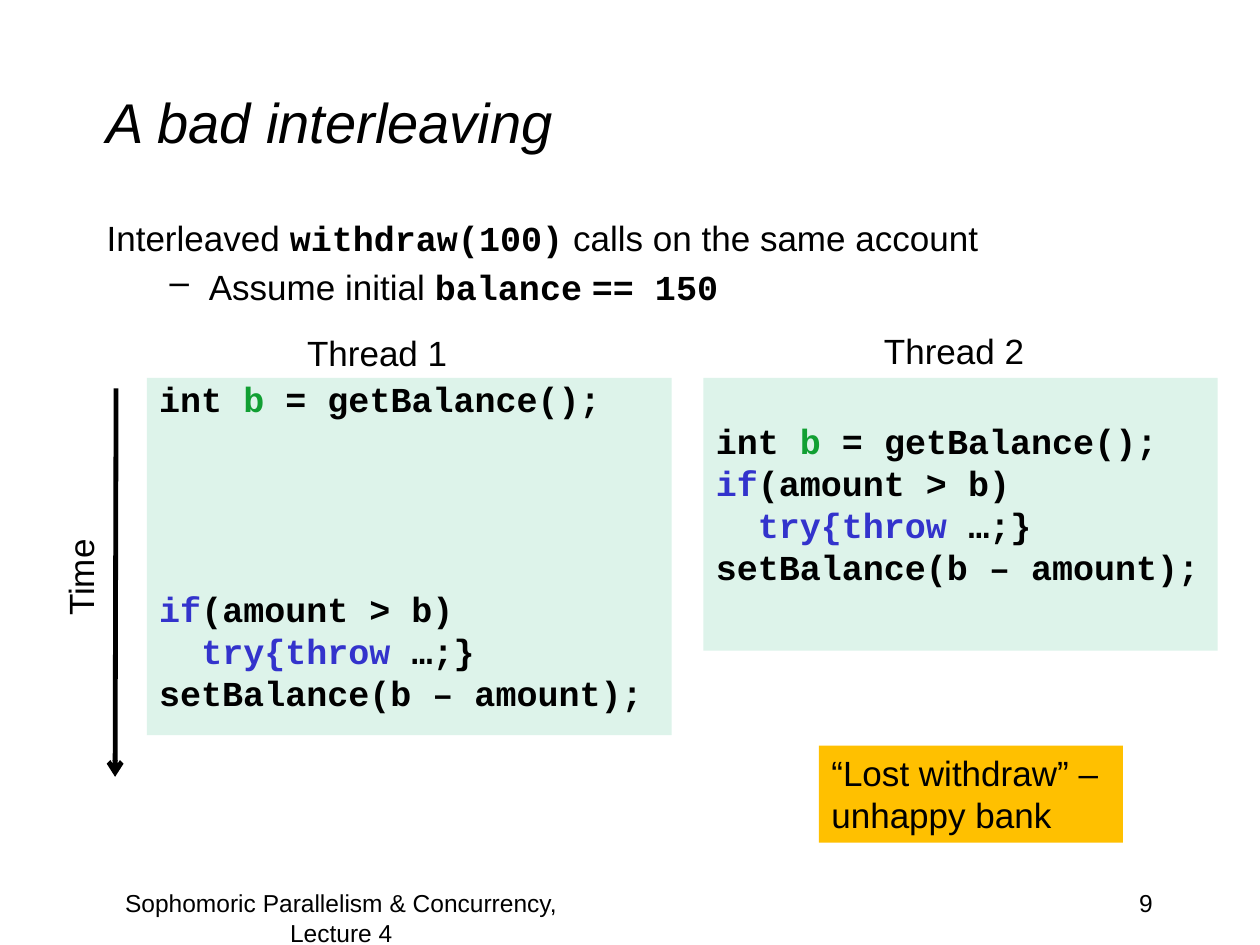
from lxml import etree
from pptx import Presentation
from pptx import util as u
from pptx.dml.color import RGBColor
from pptx.enum import shapes, text
from pptx.oxml.ns import qn

BLACK, GREEN, BLUE = "000000", "119F33", "3333CC"
MINT, AMBER = "DDF3EA", "FFC000"
SANS, MONO = "Arial", "Courier New"
LINE_PITCH = 24  # points: 20 for the line and 4 before it

CODE = {"name": MONO, "bold": True}
READ = [("int ", CODE), ("b", {**CODE, "color": GREEN}), (" = getBalance();", CODE)]
CHECK = [("if", {**CODE, "color": BLUE}), ("(amount > b)", CODE)]
THROW = [("  ", CODE), ("try{throw ", {**CODE, "color": BLUE}), ("…;}", CODE)]
WRITE = [("setBalance(b – amount);", CODE)]


def rgb(value):
    """Turn a hex string into a colour."""
    return RGBColor.from_string(value)


def set_all(target, values):
    """Set every attribute named in a dict of format values."""
    for name, value in values.items():
        setattr(target, name, value)


def add_spans(para, spans, size=20):
    """Fill a paragraph with (text, format) spans."""
    for words, look in spans:
        span = para.add_run()
        span.text = words
        values = {"name": SANS, "size": u.Pt(size), **look}
        span.font.color.rgb = rgb(values.pop("color", BLACK))
        set_all(span.font, values)


def add_text(page, place, paras, size=20, fill=None, frame=None, layout=None):
    """Add a text box, or a filled rectangle, with one span list per paragraph."""
    area = [u.Cm(length) for length in place]
    if fill:
        box = page.shapes.add_shape(shapes.MSO_SHAPE.RECTANGLE, *area)
        box.shadow.inherit = False
        box.fill.solid()
        box.fill.fore_color.rgb = rgb(fill)
        box.line.fill.background()
    else:
        box = page.shapes.add_textbox(*area)
    set_all(box.text_frame, {"word_wrap": True,
                             "vertical_anchor": text.MSO_ANCHOR.TOP, **(frame or {})})
    for index, spans in enumerate(paras):
        para = box.text_frame.paragraphs[0] if index == 0 else box.text_frame.add_paragraph()
        set_all(para, {"alignment": text.PP_ALIGN.LEFT, **(layout or {})})
        add_spans(para, spans, size)
    return box


def add_label(page, place, words, **options):
    """Add a plain one-paragraph text."""
    return add_text(page, place, [[(words, {})]], **options)


def add_dash(para, left, hang):
    """Give a paragraph a dash bullet with a hanging indent."""
    props = para._p.get_or_add_pPr()
    props.set("marL", str(u.Cm(left)))
    props.set("indent", str(-u.Cm(hang)))
    etree.SubElement(props, qn("a:buChar")).set("char", "–")


def add_code(page, place, lines, rows_above=0):
    """Add a code panel whose text starts some empty rows down."""
    return add_text(page, place, lines, fill=MINT,
                    frame={"margin_top": u.Cm(0.13) + u.Pt(rows_above * LINE_PITCH)},
                    layout={"line_spacing": u.Pt(20), "space_before": u.Pt(4)})


def add_arrow(page, start, end):
    """Draw a black line with an open arrowhead at its end."""
    ends = [u.Cm(length) for length in (*start, *end)]
    arrow = page.shapes.add_connector(shapes.MSO_CONNECTOR.STRAIGHT, *ends)
    arrow.line.color.rgb = rgb(BLACK)
    arrow.line.width = u.Pt(2.75)
    etree.SubElement(arrow.line._get_or_add_ln(), qn("a:tailEnd")).set("type", "arrow")
    etree.SubElement(arrow._element.spPr, qn("a:effectLst"))


def main():
    """Build the slide and save it."""
    deck = Presentation()
    set_all(deck, {"slide_width": u.Cm(25.4), "slide_height": u.Cm(19.05)})
    page = deck.slides.add_slide(deck.slide_layouts[6])

    add_text(page, (1.9, 0.85, 21.6, 3.17), [[("A bad interleaving", {"italic": True})]],
             size=32, frame={"vertical_anchor": text.MSO_ANCHOR.MIDDLE})
    intro = add_text(page, (1.9, 4.23, 21.6, 2.33), [
        [("Interleaved ", {}), ("withdraw(100)", CODE), (" calls on the same account", {})],
        [("Assume initial ", {}), ("balance", CODE), (" ", {}), ("== 150", CODE)],
    ], layout={"space_before": u.Pt(4)})
    add_dash(intro.text_frame.paragraphs[1], 2.06, 0.79)

    first = add_code(page, (2.96, 7.62, 10.58, 7.2), [READ, CHECK, THROW, WRITE])
    first.text_frame.paragraphs[1].space_before = u.Pt(4 + 4 * LINE_PITCH)
    add_code(page, (14.18, 7.62, 10.37, 5.5), [READ, CHECK, THROW, WRITE], rows_above=1)

    one_line = {"word_wrap": False}
    add_label(page, (5.94, 6.56, 3.35, 1.11), "Thread 1", frame=one_line)
    add_label(page, (17.57, 6.51, 3.35, 1.11), "Thread 2", frame=one_line)
    time = add_label(page, (0.58, 11.07, 2.08, 1.11), "Time", frame=one_line)
    time.rotation = 270
    add_arrow(page, (2.34, 7.83), (2.32, 15.66))

    add_text(page, (16.51, 15.03, 6.13, 1.96),
             [[("“Lost withdraw” –", {})], [("unhappy bank", {})]], fill=AMBER)
    add_label(page, (1.48, 17.78, 10.8, 1.27), "Sophomoric Parallelism & Concurrency, Lecture 4",
              size=14, layout={"alignment": text.PP_ALIGN.CENTER})
    add_label(page, (18.2, 17.78, 5.29, 1.27), "9",
              size=14, layout={"alignment": text.PP_ALIGN.RIGHT})

    deck.save("out.pptx")


main()
